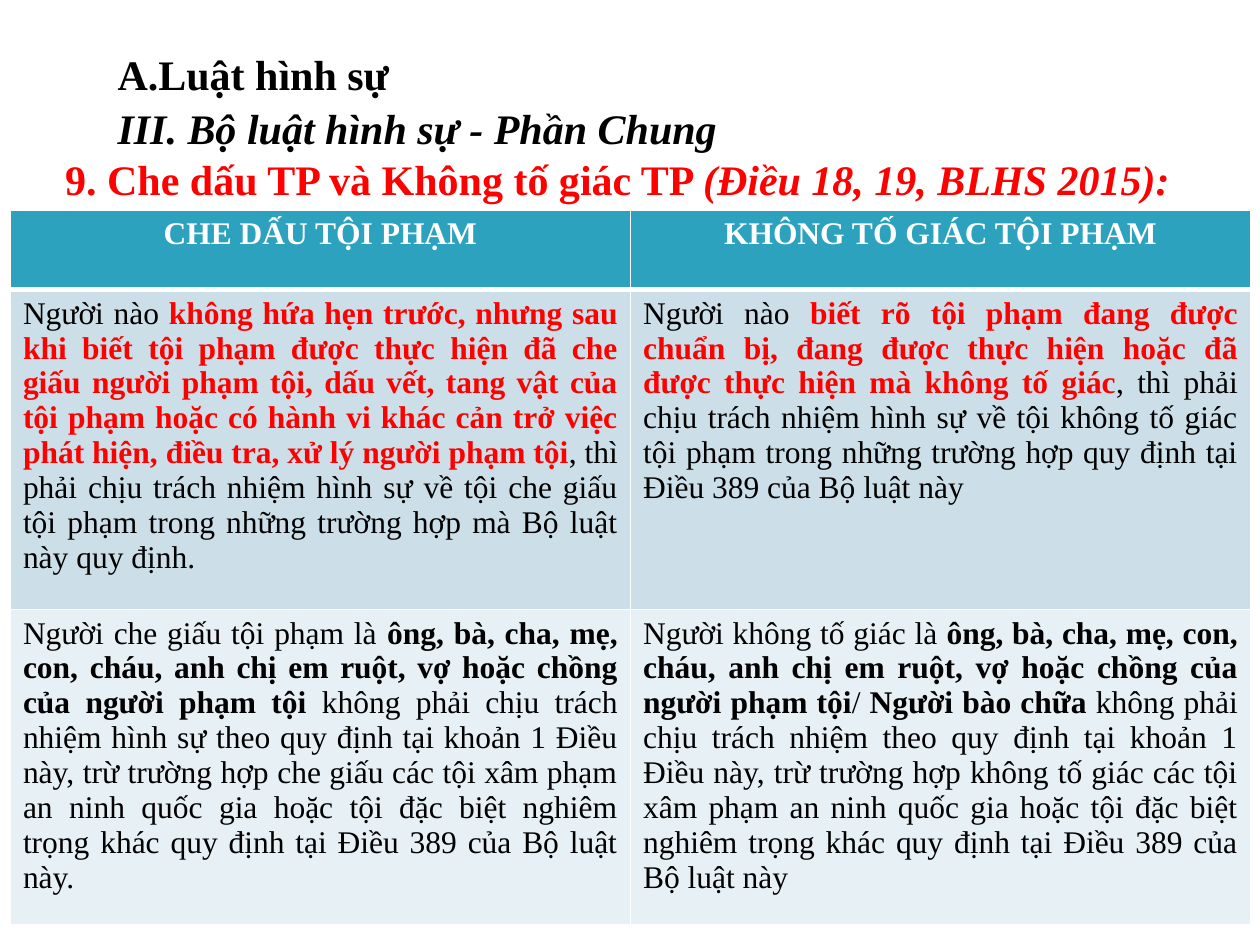
from lxml.etree import SubElement
from pptx import Presentation
from pptx.dml.color import RGBColor
from pptx.enum.text import MSO_ANCHOR, MSO_AUTO_SIZE, PP_ALIGN as Align
from pptx.oxml.ns import qn
from pptx.util import Cm, Pt

FONT = "Times New Roman"
BLACK, RED, WHITE = "000000", "FF0000", "FFFFFF"
TEAL, MIST, PALE = "2DA2BF", "CCDFE8", "E7F0F4"

# Each run is (text, colour, bold)
RELATIVES = ("ông, bà, cha, mẹ, con, cháu, anh chị em ruột, vợ hoặc chồng "
             "của người phạm tội", BLACK, True)
ROWS = [
    (TEAL, Align.CENTER, [
        [("CHE DẤU TỘI PHẠM", WHITE, True)],
        [("KHÔNG TỐ GIÁC TỘI PHẠM", WHITE, True)],
    ]),
    (MIST, Align.JUSTIFY, [
        [("Người nào ", BLACK, False),
         ("không hứa hẹn trước, nhưng sau khi biết tội phạm được thực hiện đã "
          "che giấu người phạm tội, dấu vết, tang vật của tội phạm hoặc có "
          "hành vi khác cản trở việc phát hiện, điều tra, xử lý người phạm tội",
          RED, True),
         (", thì phải chịu trách nhiệm hình sự về tội che giấu tội phạm trong "
          "những trường hợp mà Bộ luật này quy định.", BLACK, False)],
        [("Người nào ", BLACK, False),
         ("biết rõ tội phạm đang được chuẩn bị, đang được thực hiện hoặc đã "
          "được thực hiện mà không tố giác", RED, True),
         (", thì phải chịu trách nhiệm hình sự về tội không tố giác tội phạm "
          "trong những trường hợp quy định tại Điều 389 của Bộ luật này",
          BLACK, False)],
    ]),
    (PALE, Align.JUSTIFY, [
        [("Người che giấu tội phạm là ", BLACK, False),
         RELATIVES,
         (" không phải chịu trách nhiệm hình sự theo quy định tại khoản 1 Điều "
          "này, trừ trường hợp che giấu các tội xâm phạm an ninh quốc gia hoặc "
          "tội đặc biệt nghiêm trọng khác quy định tại Điều 389 của Bộ luật "
          "này.", BLACK, False)],
        [("Người không tố giác là ", BLACK, False),
         RELATIVES,
         ("/ ", BLACK, False),
         ("Người bào chữa ", BLACK, True),
         ("không phải chịu trách nhiệm theo quy định tại khoản 1 Điều này, trừ "
          "trường hợp không tố giác các tội xâm phạm an ninh quốc gia hoặc tội "
          "đặc biệt nghiêm trọng khác quy định tại Điều 389 của Bộ luật này",
          BLACK, False)],
    ]),
]


def rgb(colour):
    return RGBColor.from_string(colour)


def add_run(paragraph, text, size, colour, bold, italic=False):
    run = paragraph.add_run()
    run.text = text
    font = run.font
    font.name, font.size = FONT, Pt(size)
    font.bold, font.italic = bold, italic
    font.color.rgb = rgb(colour)


def add_heading(slide):
    heading = slide.shapes.title
    heading.left, heading.top = Cm(1.06), Cm(2.96)
    heading.width, heading.height = Cm(23.28), Cm(1.27)
    frame = heading.text_frame
    frame.auto_size = MSO_AUTO_SIZE.NONE
    frame.vertical_anchor = MSO_ANCHOR.TOP
    line = frame.paragraphs[0]
    line.alignment = Align.JUSTIFY
    add_run(line, "9. Che dấu TP và Không tố giác TP ", 24, RED, True)
    add_run(line, "(Điều 18, 19, BLHS 2015):", 24, RED, True, italic=True)


def add_chapter(slide):
    frame = slide.shapes.add_textbox(
        Cm(0.85), Cm(0.85), Cm(18.2), Cm(3.32)).text_frame
    frame.word_wrap = True
    levels = [("A.Luật hình sự", False),
              ("III. Bộ luật hình sự - Phần Chung", True)]
    for index, (text, italic) in enumerate(levels):
        line = frame.add_paragraph() if index else frame.paragraphs[0]
        line.alignment = Align.JUSTIFY
        line.space_before = Pt(2)
        line._p.get_or_add_pPr().set("marL", str(Cm(1.27)))
        add_run(line, text, 24, BLACK, True, italic)


def set_borders(cell, top, bottom):
    """White cell borders; top and bottom widths in points."""
    properties = cell._tc.get_or_add_tcPr()
    for side, width in (("L", 1), ("R", 1), ("T", top), ("B", bottom)):
        border = SubElement(properties, qn(f"a:ln{side}"), w=str(Pt(width)))
        fill = SubElement(border, qn("a:solidFill"))
        SubElement(fill, qn("a:srgbClr"), val=WHITE)


def add_comparison(slide):
    heights = [Cm(1.6), Cm(6.45), Cm(4.85)]
    column_width = Cm(12.5)
    table = slide.shapes.add_table(
        len(ROWS), 2, Cm(0.21), Cm(4.24), 2 * column_width, sum(heights)).table
    for column in table.columns:
        column.width = column_width
    for r, (fill, alignment, texts) in enumerate(ROWS):
        table.rows[r].height = heights[r]
        for c, runs in enumerate(texts):
            cell = table.cell(r, c)
            # Thick rule between the header and the body
            set_borders(cell, 3 if r == 1 else 1, 3 if r == 0 else 1)
            cell.fill.solid()
            cell.fill.fore_color.rgb = rgb(fill)
            paragraph = cell.text_frame.paragraphs[0]
            paragraph.alignment = alignment
            for text, colour, bold in runs:
                add_run(paragraph, text, 18, colour, bold)


def main():
    deck = Presentation()
    deck.slide_width, deck.slide_height = Cm(25.4), Cm(19.05)
    slide = deck.slides.add_slide(deck.slide_layouts[5])
    add_heading(slide)
    add_chapter(slide)
    add_comparison(slide)
    deck.save("out.pptx")


if __name__ == "__main__":
    main()
